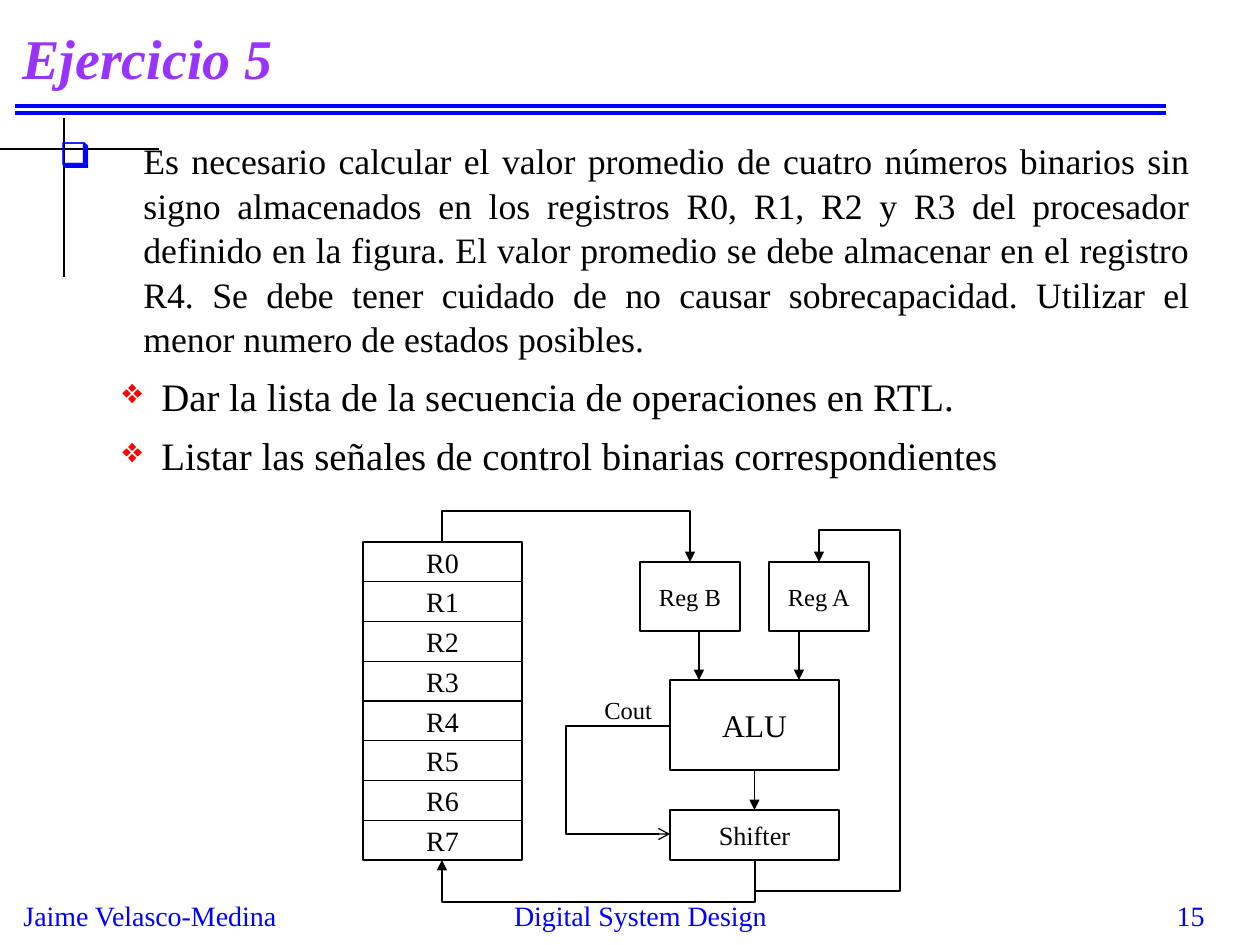
from lxml.etree import SubElement
from pptx import Presentation
from pptx.dml.color import RGBColor
from pptx.enum.shapes import MSO_CONNECTOR, MSO_SHAPE
from pptx.enum.text import MSO_ANCHOR, MSO_AUTO_SIZE, PP_ALIGN
from pptx.oxml.ns import qn
from pptx.util import Pt

SCALE = 914400 / 126
FONT = "Times New Roman"
BLACK = RGBColor(0x00, 0x00, 0x00)
BLUE = RGBColor(0x00, 0x00, 0xFF)
RED = RGBColor(0xFF, 0x00, 0x00)
PURPLE = RGBColor(0x99, 0x33, 0xFF)

TITLE = "Ejercicio 5"
RULES = [
    ((15, 106), (1166, 106), BLUE, 2.25),
    ((15, 113), (1166, 113), BLUE, 2.25),
    ((0, 149), (159, 149), BLACK, 0.75),
    ((64, 118), (64, 277), BLACK, 0.75),
]
FOOTERS = [
    ("Jaime Velasco-Medina", (11, 892, 282, 47), PP_ALIGN.LEFT, False),
    ("Digital System Design", (420, 892, 441, 42), PP_ALIGN.CENTER, True),
    ("15", (955, 892, 262, 32), PP_ALIGN.RIGHT, True),
]
BODY = [
    (0, "Es necesario calcular el valor promedio de cuatro números binarios sin signo "
        "almacenados en los registros R0, R1, R2 y R3 del procesador definido en la figura. "
        "El valor promedio se debe almacenar en el registro R4. Se debe tener cuidado de no "
        "causar sobrecapacidad. Utilizar el menor numero de estados posibles."),
    (1, "Dar la lista de la secuencia de operaciones en RTL."),
    (1, "Listar las señales de control binarias correspondientes"),
]
LEVELS = [
    dict(size=20.4, bullet="❑", color=BLUE, percent=100, left=84, hang=84,
         before=0, align=PP_ALIGN.JUSTIFY),
    dict(size=22.2, bullet="❖", color=RED, percent=90, left=102, hang=39,
         before=6, align=PP_ALIGN.LEFT),
]
BLOCKS = {
    "ALU": ((670, 680, 169, 90), 18),
    "Shifter": ((670, 810, 169, 50), 15),
    "Reg B": ((640, 562, 100, 69), 14),
    "Reg A": ((769, 562, 100, 69), 14),
}
REGISTER_COUNT = 8
BANK_LEFT, BANK_TOP, BANK_WIDTH, BANK_HEIGHT = 363, 542, 159, 318
ALU_INPUTS = [((699, 631), (699, 680)), ((799, 631), (799, 680))]
BUSES = [
    ([(755, 860), (755, 891), (900, 891), (900, 530), (819, 530), (819, 562)], "triangle"),
    ([(755, 860), (755, 902), (442, 902), (442, 860)], "triangle"),
    ([(442, 542), (442, 511), (690, 511), (690, 562)], "triangle"),
    ([(670, 726), (566, 726), (566, 834), (670, 834)], "arrow"),
]


def px(*values):
    return [round(value * SCALE) for value in values]


def add_span(para, text, size, color, bold=False, italic=False):
    span = para.add_run()
    span.text = text
    font = span.font
    font.name, font.size, font.color.rgb = FONT, Pt(size), color
    font.bold, font.italic = bold, italic


def add_text(page, text, place, size, color, align=PP_ALIGN.LEFT, wrap=True,
             anchor=MSO_ANCHOR.TOP, **style):
    frame = page.shapes.add_textbox(*px(*place)).text_frame
    frame.word_wrap = wrap
    frame.auto_size = MSO_AUTO_SIZE.NONE if wrap else MSO_AUTO_SIZE.SHAPE_TO_FIT_TEXT
    frame.vertical_anchor = anchor
    para = frame.paragraphs[0]
    para.alignment = align
    add_span(para, text, size, color, **style)


def style_line(shape, color=BLACK, width=0.75, head=None):
    shape.line.color.rgb = color
    shape.line.width = Pt(width)
    if head:
        SubElement(shape.line._get_or_add_ln(), qn("a:tailEnd"), type=head)


def add_line(page, start, end, color=BLACK, width=0.75, head=None):
    line = page.shapes.add_connector(MSO_CONNECTOR.STRAIGHT, *px(*start, *end))
    style_line(line, color, width, head)
    SubElement(line._element.spPr, qn("a:effectLst"))
    return line


def add_block(page, text, place, size):
    box = page.shapes.add_shape(MSO_SHAPE.RECTANGLE, *px(*place))
    box.shadow.inherit = False
    box.fill.background()
    style_line(box)
    frame = box.text_frame
    frame.word_wrap = False
    frame.vertical_anchor = MSO_ANCHOR.MIDDLE
    para = frame.paragraphs[0]
    para.alignment = PP_ALIGN.CENTER
    add_span(para, text, size, BLACK)
    return box


def add_bus(page, points, head):
    builder = page.shapes.build_freeform(*points[0], scale=SCALE)
    builder.add_line_segments(points[1:], close=False)
    bus = builder.convert_to_shape()
    bus.shadow.inherit = False
    bus.fill.background()
    style_line(bus, head=head)


def add_body(page):
    frame = page.shapes.add_textbox(*px(47, 131, 1155, 362)).text_frame
    frame.word_wrap = True
    for index, (level, text) in enumerate(BODY):
        look = LEVELS[level]
        para = frame.paragraphs[0] if index == 0 else frame.add_paragraph()
        para.level = level
        props = para._p.get_or_add_pPr()
        left, hang = px(look["left"], look["hang"])
        props.set("marL", str(left))
        props.set("indent", str(-hang))
        tint = SubElement(props, qn("a:buClr"))
        SubElement(tint, qn("a:srgbClr"), val=str(look["color"]))
        SubElement(props, qn("a:buSzPct"), val=str(look["percent"] * 1000))
        SubElement(props, qn("a:buChar"), char=look["bullet"])
        para.alignment = look["align"]
        para.line_spacing = 1.04
        para.space_before = Pt(look["before"])
        add_span(para, text, look["size"], BLACK)


def main():
    """Build the exercise slide with its processor datapath."""
    deck = Presentation()
    deck.slide_width, deck.slide_height = px(1260, 945)
    page = deck.slides.add_slide(deck.slide_layouts[6])
    for rule in RULES:
        add_line(page, *rule)
    for text, place, align, wrap in FOOTERS:
        add_text(page, text, place, 16, BLUE, align, wrap)
    add_text(page, TITLE, (10, 10, 1155, 95), 32, PURPLE, anchor=MSO_ANCHOR.MIDDLE,
             bold=True, italic=True)
    add_body(page)

    blocks = {name: add_block(page, name, *block) for name, block in BLOCKS.items()}
    result = add_line(page, (755, 770), (755, 810), head="triangle")
    result.begin_connect(blocks["ALU"], 2)
    result.end_connect(blocks["Shifter"], 0)
    for start, end in ALU_INPUTS:
        add_line(page, start, end, head="triangle")

    row = BANK_HEIGHT / REGISTER_COUNT
    for index in range(REGISTER_COUNT):
        place = (BANK_LEFT, BANK_TOP + index * row, BANK_WIDTH, row)
        add_block(page, f"R{index}", place, 16)
    for points, head in BUSES:
        add_bus(page, points, head)
    add_text(page, "Cout", (592, 689, 73, 43), 14, BLACK, wrap=False)
    deck.save("out.pptx")


if __name__ == "__main__":
    main()
